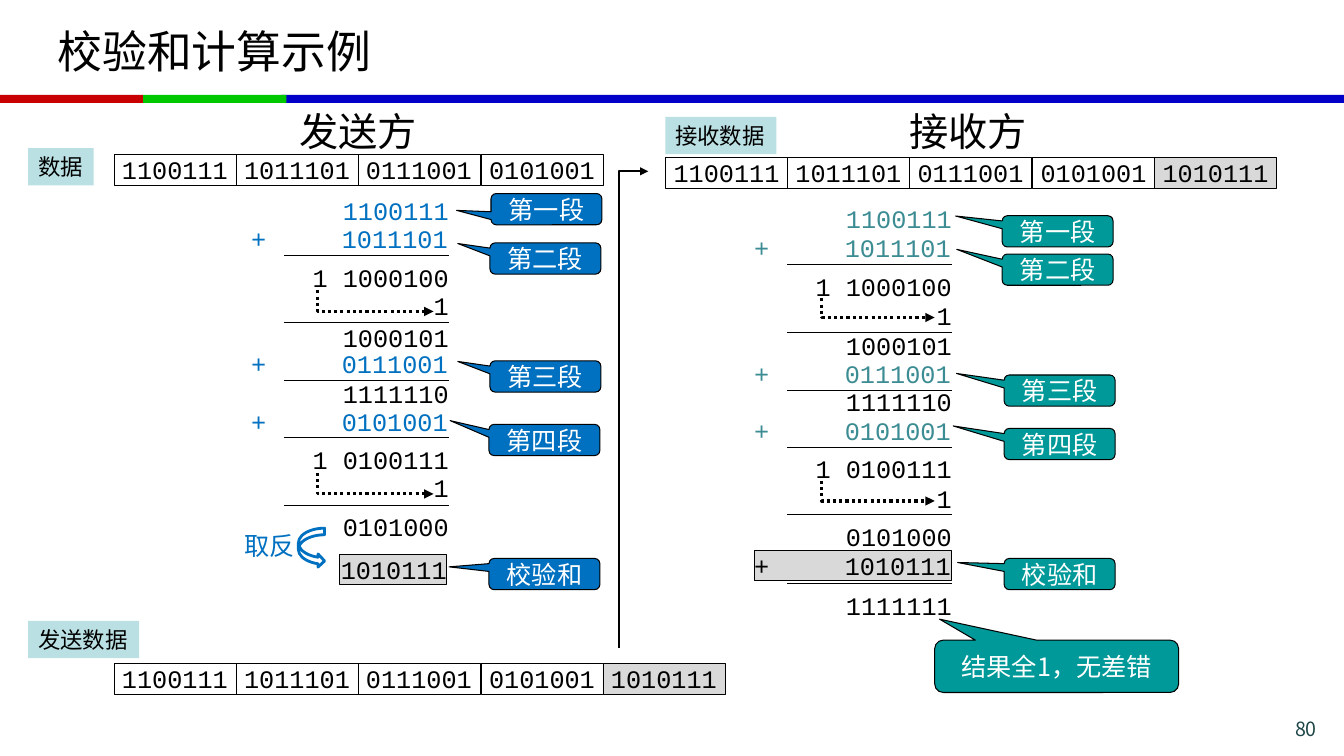
import lxml.etree
import pptx
import pptx.dml.color
import pptx.enum.dml
import pptx.enum.shapes
import pptx.enum.text
import pptx.oxml.ns
import pptx.util

PX = 9144  # one hundredth of an inch
COLORS = {
    "black": "000000", "white": "FFFFFF", "gray": "D9D9D9", "label": "BBE0E3",
    "red": "C80000", "green": "00C800", "blue": "0000C8",
    "sender": "0070C0", "receiver": "009999", "receiver_text": "3C8C93",
    "page": "1E4649",
}
HAN, MONO = "Noto Sans CJK SC", "Courier New"
SHAPES = pptx.enum.shapes.MSO_SHAPE
ALIGN = pptx.enum.text.PP_ALIGN
MIDDLE = pptx.enum.text.MSO_ANCHOR.MIDDLE
NO_INSETS = dict.fromkeys(
    ("margin_left", "margin_top", "margin_right", "margin_bottom"), 0)
SEGMENTS = ["1100111", "1011101", "0111001", "0101001"]
CHECKSUM = "1010111"
CHAR = 15
CELL_PITCH = 121.25

SENDER = {
    "right": 445, "accent": "sender", "callout": "sender",
    "rows": [(194, "1100111", True), (222, "+1011101", True),
             (260, "1 1000100", False), (288, "1", False),
             (320, "1000101", False), (346, "+0111001", True),
             (375, "1111110", False), (403, "+0101001", True),
             (441, "1 0100111", False), (469, "1", False),
             (507, "0101000", False)],
    "rules": [253, 320, 377, 434, 501],
    "carries": [(315, 288, 309, 430), (315, 469, 490, 430)],
    "callouts": [(487, 192, "第一段", -0.81, 0.04),
                 (486, 241, "第二段", -0.79, -0.48),
                 (486, 358, "第三段", -0.79, -0.48),
                 (485, 421, "第四段", -0.85, -0.62),
                 (485, 554, "校验和", -0.86, -0.23)],
}
RECEIVER = {
    "right": 944, "accent": "receiver_text", "callout": "receiver",
    "rows": [(202, "1100111", True), (231, "+1011101", True),
             (269, "1 1000100", False), (298, "1", False),
             (328, "1000101", False), (355, "+0111001", True),
             (383, "1111110", False), (412, "+0101001", True),
             (450, "1 0100111", False), (479, "1", False),
             (517, "0101000", False), (586, "1111111", False)],
    "rules": [262, 330, 387, 444, 510, 579],
    "carries": [(815, 296, 315, 927), (815, 477, 497, 927)],
    "callouts": [(994, 252, "第二段", -0.91, -0.65),
                 (994, 214, "第一段", -0.92, -0.49),
                 (996, 425, "第四段", -0.96, -0.58),
                 (996, 372, "第三段", -0.93, -0.55),
                 (996, 554, "校验和", -0.92, -0.37)],
}


def rgb(color):
    return pptx.dml.color.RGBColor.from_string(COLORS[color])


def emu(*lengths):
    return [length * PX for length in lengths]


def set_all(target, values):
    for name, value in values.items():
        setattr(target, name, value)


def write(frame, text, size, font=HAN, color="black", align=ALIGN.LEFT,
          **frame_format):
    set_all(frame, {"word_wrap": True, **frame_format})
    paragraph = frame.paragraphs[0]
    paragraph.alignment = align
    run = paragraph.add_run()
    run.text = text
    set_all(run.font, {"size": pptx.util.Pt(size), "name": font})
    run.font.color.rgb = rgb(color)
    east_asian = lxml.etree.SubElement(
        run.font._element, pptx.oxml.ns.qn("a:ea"))
    east_asian.set("typeface", font)
    return paragraph


def text_box(slide, box, *content, **text_format):
    frame = slide.shapes.add_textbox(*emu(*box)).text_frame
    return write(frame, *content, **text_format)


def style(shape, fill=None, line=None, width=0.75):
    shape.shadow.inherit = False
    if fill:
        shape.fill.solid()
        shape.fill.fore_color.rgb = rgb(fill)
    else:
        shape.fill.background()
    if line:
        shape.line.color.rgb = rgb(line)
        shape.line.width = pptx.util.Pt(width)
    else:
        shape.line.fill.background()


def block(slide, kind, box, **look):
    shape = slide.shapes.add_shape(kind, *emu(*box))
    style(shape, **look)
    return shape


def label(slide, left, top, width, text):
    tag = block(slide, SHAPES.RECTANGLE, (left, top, width, 37), fill="label")
    write(tag.text_frame, text, 16, word_wrap=False)


def callout(slide, box, text, fill, tip):
    bubble = block(slide, SHAPES.ROUNDED_RECTANGULAR_CALLOUT, box,
                   fill=fill, line="black")
    bubble.adjustments[0], bubble.adjustments[1] = tip
    write(bubble.text_frame, text, 18, color="white", align=ALIGN.CENTER,
          vertical_anchor=MIDDLE)


def data_row(slide, left, top, words):
    """Draw adjoining cells; a fifth word is the shaded checksum."""
    for index, word in enumerate(words):
        box = (left + round(index * CELL_PITCH), top, 121, 31)
        cell = block(slide, SHAPES.RECTANGLE, box, line="black", width=0.5,
                     fill="gray" if index == len(SEGMENTS) else None)
        write(cell.text_frame, word, 18, MONO, align=ALIGN.CENTER,
              vertical_anchor=MIDDLE, **NO_INSETS)


def sum_row(slide, right, top, text, color="black", shaded=False):
    """Write a number ending at right; a leading plus gets its own column."""
    added = text.startswith("+")
    width = 196 if added else len(text) * CHAR + 1
    box = (right - width, top, width, 30)
    if shaded:
        block(slide, SHAPES.RECTANGLE, box, fill="gray", line="black")
    paragraph = text_box(slide, box, text.replace("+", "+\t"), 18, MONO, color,
                         ALIGN.LEFT if added else ALIGN.RIGHT, **NO_INSETS)
    if added:
        tabs = lxml.etree.SubElement(
            paragraph._p.get_or_add_pPr(), pptx.oxml.ns.qn("a:tabLst"))
        tab = lxml.etree.SubElement(tabs, pptx.oxml.ns.qn("a:tab"))
        tab.set("pos", str(6 * CHAR * PX))
        tab.set("algn", "l")


def rule(slide, right, y):
    line = slide.shapes.add_connector(
        pptx.enum.shapes.MSO_CONNECTOR.STRAIGHT, *emu(right - 163, y, right, y))
    line.line.color.rgb = rgb("black")
    line.line.width = pptx.util.Pt(0.63)
    lxml.etree.SubElement(line._element.spPr, pptx.oxml.ns.qn("a:effectLst"))


def elbow_arrow(slide, left, start_y, end_y, right, width, dash=None):
    builder = slide.shapes.build_freeform(left, start_y, scale=PX)
    builder.add_line_segments([(left, end_y), (right, end_y)], close=False)
    arrow = builder.convert_to_shape()
    style(arrow, line="black", width=width)
    if dash:
        arrow.line.dash_style = dash
    tail = lxml.etree.SubElement(
        arrow.line._get_or_add_ln(), pptx.oxml.ns.qn("a:tailEnd"))
    tail.set("type", "triangle")


def addition(slide, side):
    for top, text, accented in side["rows"]:
        sum_row(slide, side["right"], top, text,
                side["accent"] if accented else "black")
    for y in side["rules"]:
        rule(slide, side["right"], y)
    for carry in side["carries"]:
        elbow_arrow(slide, *carry, 2.25,
                    pptx.enum.dml.MSO_LINE_DASH_STYLE.ROUND_DOT)
    for left, top, text, *tip in side["callouts"]:
        callout(slide, (left, top, 110, 31), text, side["callout"], tip)


def header(slide):
    for left, width, color in [(279, 1054, "blue"), (0, 142, "red"),
                               (142, 142, "green")]:
        block(slide, SHAPES.RECTANGLE, (left, 94, width, 8), fill=color)
    title = slide.shapes.title
    set_all(title, dict(zip(("left", "top", "width", "height"),
                            emu(47, 8, 1239, 84))))
    write(title.text_frame, "校验和计算示例", 32, vertical_anchor=MIDDLE)
    text_box(slide, (1186, 706, 130, 28), "80", 14, color="page",
             align=ALIGN.RIGHT)
    for left, party in [(297, "发送方"), (902, "接收方")]:
        text_box(slide, (left, 106, 117, 47), party, 28, word_wrap=False,
                 **NO_INSETS)


def main():
    deck = pptx.Presentation()
    deck.slide_width, deck.slide_height = emu(1333, 750)
    slide = deck.slides.add_slide(deck.slide_layouts[5])
    header(slide)

    addition(slide, SENDER)
    sum_row(slide, 443, 550, CHECKSUM, shaded=True)
    text_box(slide, (242, 526, 50, 30), "取反", 18, color="sender",
             word_wrap=False, **NO_INSETS)
    block(slide, SHAPES.CURVED_RIGHT_ARROW, (296, 524, 26, 39),
          line="sender", width=2)

    sum_row(slide, RECEIVER["right"], 546, "+" + CHECKSUM, shaded=True)
    addition(slide, RECEIVER)
    callout(slide, (927, 635, 242, 52), "结果全1，无差错", "receiver",
            (-0.48, -0.9))

    elbow_arrow(slide, 614, 643, 170, 643, 1.5)
    data_row(slide, 113, 153, SEGMENTS)
    data_row(slide, 113, 658, SEGMENTS + [CHECKSUM])
    data_row(slide, 660, 156, SEGMENTS + [CHECKSUM])
    label(slide, 28, 147, 65, "数据")
    label(slide, 28, 616, 110, "发送数据")
    label(slide, 660, 116, 110, "接收数据")
    deck.save("out.pptx")


if __name__ == "__main__":
    main()
